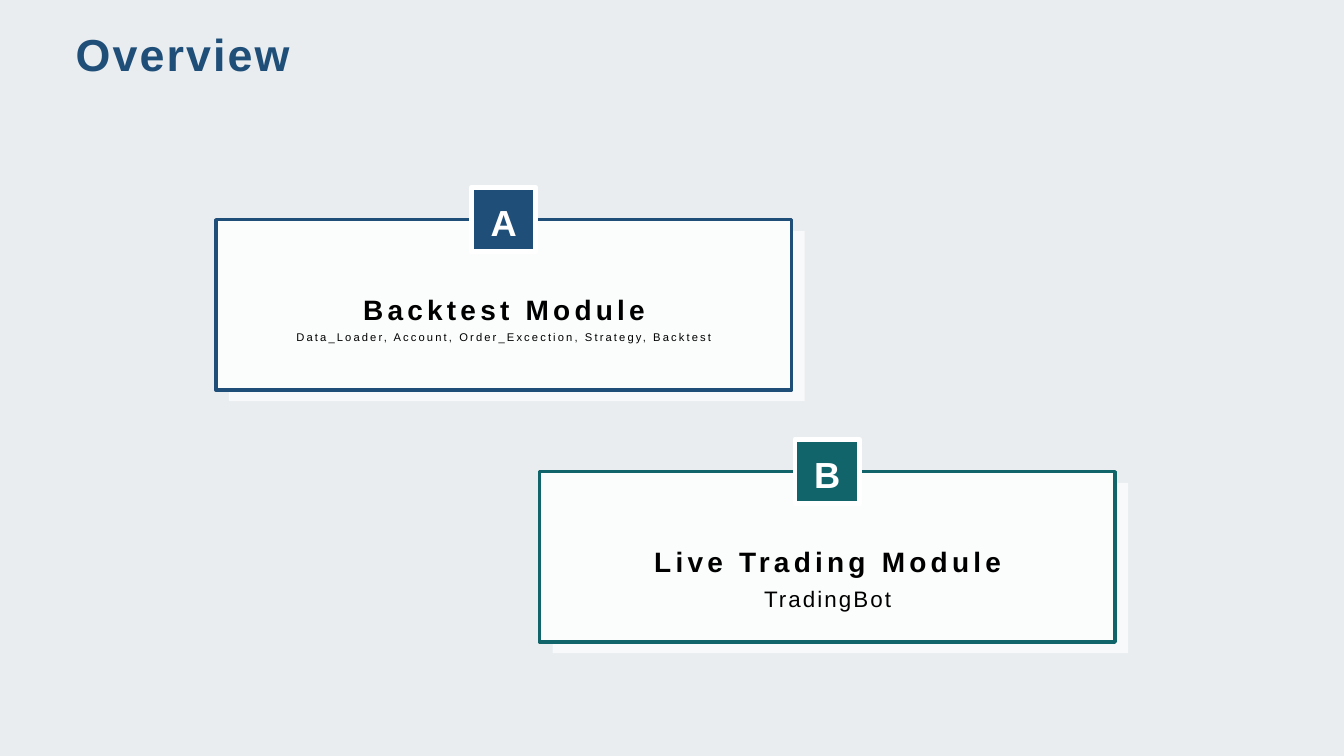
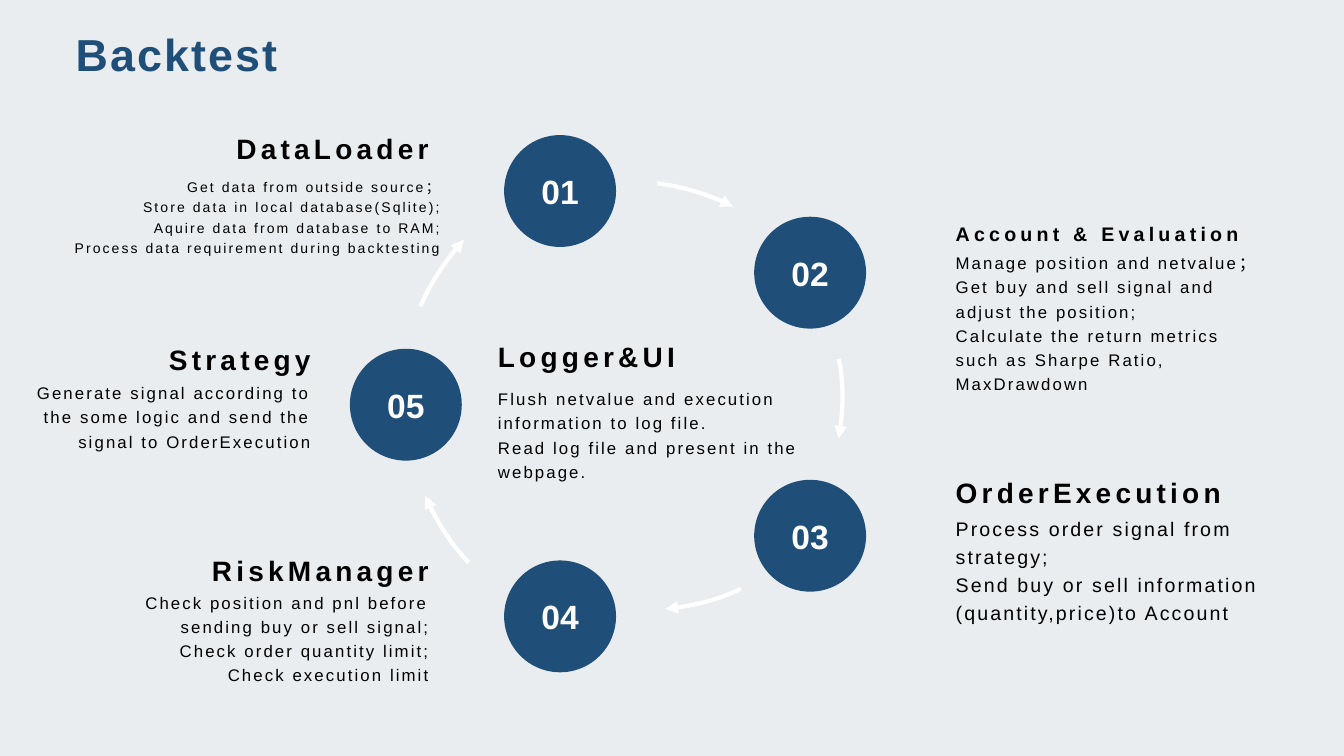
"""Build the two slides on the backtest and live trading modules."""
from pptx import Presentation
from pptx.dml.color import RGBColor
from pptx.enum.shapes import MSO_SHAPE
from pptx.enum.text import MSO_ANCHOR, MSO_AUTO_SIZE, PP_ALIGN
from pptx.oxml.ns import qn
from pptx.util import Pt
from lxml import etree

PX = 9144
FONT = "Arial"
BLUE = RGBColor(0x1F, 0x4E, 0x78)
TEAL = RGBColor(0x10, 0x64, 0x6A)
MIST = RGBColor(0xE9, 0xED, 0xF0)
PAPER = RGBColor(0xFB, 0xFC, 0xFC)
WHITE = RGBColor(0xFF, 0xFF, 0xFF)
BLACK = RGBColor(0, 0, 0)
LEFT, CENTER, RIGHT = PP_ALIGN.LEFT, PP_ALIGN.CENTER, PP_ALIGN.RIGHT
TOP, MIDDLE, BOTTOM = MSO_ANCHOR.TOP, MSO_ANCHOR.MIDDLE, MSO_ANCHOR.BOTTOM
RECTANGLE, OVAL = MSO_SHAPE.RECTANGLE, MSO_SHAPE.OVAL
NO_FIT = MSO_AUTO_SIZE.NONE
TITLE_ONLY = 5

CARD_WIDTH, CARD_HEIGHT = 571, 169
BADGE, CIRCLE = 64, 111
TEXT_WIDTH, HEADING_HEIGHT, BODY_HEIGHT = 321, 47, 97
CURVE_STEPS = 16

CARDS = [
    {"letter": "A", "at": (214, 218), "color": BLUE, "heading": "Backtest Module", "size": 8,
     "detail": "Data_Loader, Account, Order_Excection, Strategy, Backtest"},
    {"letter": "B", "at": (535, 468), "color": TEAL, "heading": "Live Trading Module", "size": 16,
     "detail": "TradingBot"},
]

CIRCLES = [("01", 500, 134), ("02", 748, 215), ("03", 748, 476), ("04", 500, 556), ("05", 347, 346)]

SECTIONS = [
    {"heading": "DataLoader", "at": (114, 117), "align": RIGHT, "body": (34, 174, 412), "size": 10,
     "lines": ["Get data from outside source；",
               "Store data in local database(Sqlite);",
               "Aquire data from database to RAM;",
               "Process data requirement during backtesting"]},
    {"heading": "Account & Evaluation", "at": (938, 197), "align": LEFT, "heading_size": 14,
     "body": (938, 247, TEXT_WIDTH), "size": 12,
     "lines": ["Manage position and netvalue；",
               "Get buy and sell signal and adjust the position;",
               "Calculate the return metrics such as Sharpe Ratio, MaxDrawdown"]},
    {"heading": "OrderExecution", "at": (938, 458), "align": LEFT,
     "body": (938, 508, TEXT_WIDTH), "size": 14,
     "lines": ["Process order signal from strategy;",
               "Send buy or sell information (quantity,price)to Account"]},
    {"heading": "RiskManager", "at": (114, 535), "align": RIGHT,
     "body": (114, 584, TEXT_WIDTH), "size": 12,
     "lines": ["Check position and pnl before sending buy or sell signal;",
               "Check order quantity limit;",
               "Check execution limit"]},
    {"heading": "Strategy", "at": (-3, 326), "align": RIGHT,
     "body": (-3, 376, TEXT_WIDTH), "size": 12,
     "lines": ["Generate signal according to the some logic and send the signal to OrderExecution"]},
    {"heading": "Logger&UI", "at": (484, 323), "align": LEFT,
     "body": (484, 382, TEXT_WIDTH), "size": 12,
     "lines": ["Flush netvalue and execution information to log file.",
               "Read log file and present in the webpage."]},
]

ARROWS = [
    [(652, 182), (686, 186), (716, 199), (727, 205)],
    [(832, 356), (839, 389), (834, 422), (832, 435)],
    [(735, 584), (705, 599), (673, 603), (660, 604)],
    [(465, 558), (441, 534), (427, 504), (422, 492)],
    [(417, 304), (430, 273), (451, 248), (460, 238)],
]


def emu(*lengths):
    return [round(length * PX) for length in lengths]


def write(shape, lines, size, color=BLACK, bold=False, align=LEFT, anchor=TOP,
          insets=(0, 0, 0, 0), leading=None, tracking=0):
    frame = shape.text_frame
    frame.word_wrap = True
    frame.auto_size = NO_FIT
    frame.vertical_anchor = anchor
    (frame.margin_left, frame.margin_top,
     frame.margin_right, frame.margin_bottom) = emu(*insets)
    for index, line in enumerate(lines):
        para = frame.add_paragraph() if index else frame.paragraphs[0]
        para.alignment = align
        para.line_spacing = leading
        span = para.add_run()
        span.text = line
        span.font.name = FONT
        span.font.size = Pt(size)
        span.font.bold = bold
        span.font.color.rgb = color
        if tracking:
            span.font._element.set("spc", str(round(tracking * 100)))


def add_heading(page, box, text, size=20, align=CENTER):
    write(page.shapes.add_textbox(*emu(*box)), [text], size, bold=True, align=align,
          anchor=BOTTOM, insets=(10, 5, 10, 0), leading=1.2, tracking=3)


def add_body(page, box, lines, size, align=CENTER):
    write(page.shapes.add_textbox(*emu(*box)), lines, size, align=align,
          insets=(10, 0, 10, 5), leading=1.2, tracking=1.5)


def add_block(page, kind, box, fill, line=None, weight=0):
    shape = page.shapes.add_shape(kind, *emu(*box))
    shape.shadow.inherit = False
    shape.fill.solid()
    shape.fill.fore_color.rgb = fill
    if line is None:
        shape.line.fill.background()
    else:
        shape.line.color.rgb = line
        shape.line.width = Pt(weight)
    return shape


def add_card(page, card):
    left, top = card["at"]
    backing = add_block(page, RECTANGLE, (left + 13, top + 11, CARD_WIDTH, CARD_HEIGHT), WHITE)
    tint = backing.fill._xPr.find(qn("a:solidFill"))[0]
    etree.SubElement(tint, qn("a:alpha"), val="70000")
    add_block(page, RECTANGLE, (left, top, CARD_WIDTH, CARD_HEIGHT), PAPER, card["color"], 2.5)
    badge_left = left + (CARD_WIDTH - BADGE) / 2
    badge = add_block(page, RECTANGLE, (badge_left, top - BADGE / 2, BADGE, BADGE),
                      card["color"], WHITE, 3.5)
    write(badge, [card["letter"]], 25.9, color=WHITE, bold=True, align=CENTER,
          insets=(0, 8, 0, 0), leading=1.1)
    add_heading(page, (left + 33, top + 59, 506, 47), card["heading"])
    add_body(page, (left + 33, top + 107, 506, 42), [card["detail"]], card["size"])


def add_curved_arrow(page, controls):
    points = []
    for step in range(CURVE_STEPS + 1):
        t = step / CURVE_STEPS
        weights = ((1 - t) ** 3, 3 * t * (1 - t) ** 2, 3 * t * t * (1 - t), t ** 3)
        points.append(emu(*(sum(w * value for w, value in zip(weights, axis))
                            for axis in zip(*controls))))
    builder = page.shapes.build_freeform(*points[0])
    builder.add_line_segments(points[1:], close=False)
    arrow = builder.convert_to_shape()
    arrow.shadow.inherit = False
    arrow.fill.background()
    arrow.line.color.rgb = WHITE
    arrow.line.width = Pt(3)
    etree.SubElement(arrow.line._get_or_add_ln(), qn("a:tailEnd"), type="triangle")


def add_page(deck, title):
    page = deck.slides.add_slide(deck.slide_layouts[TITLE_ONLY])
    box = page.shapes.title
    box.left, box.top, box.width, box.height = emu(67, 17, 1200, 67)
    write(box, [title], 32, color=BLUE, bold=True, anchor=BOTTOM,
          insets=(8, 4, 8, 4), tracking=1.5)
    return page


def main():
    deck = Presentation()
    deck.slide_width, deck.slide_height = emu(1333, 750)
    background = deck.slide_master.background.fill
    background.solid()
    background.fore_color.rgb = MIST

    overview = add_page(deck, "Overview")
    for card in CARDS:
        add_card(overview, card)

    backtest = add_page(deck, "Backtest")
    for number, left, top in CIRCLES:
        circle = add_block(backtest, OVAL, (left, top, CIRCLE, CIRCLE), BLUE)
        write(circle, [number], 24, color=WHITE, bold=True, align=CENTER, anchor=MIDDLE)
    for controls in ARROWS:
        add_curved_arrow(backtest, controls)
    for section in SECTIONS:
        add_heading(backtest, (*section["at"], TEXT_WIDTH, HEADING_HEIGHT), section["heading"],
                    size=section.get("heading_size", 20), align=section["align"])
        add_body(backtest, (*section["body"], BODY_HEIGHT), section["lines"],
                 section["size"], align=section["align"])

    deck.save("out.pptx")


if __name__ == "__main__":
    main()
